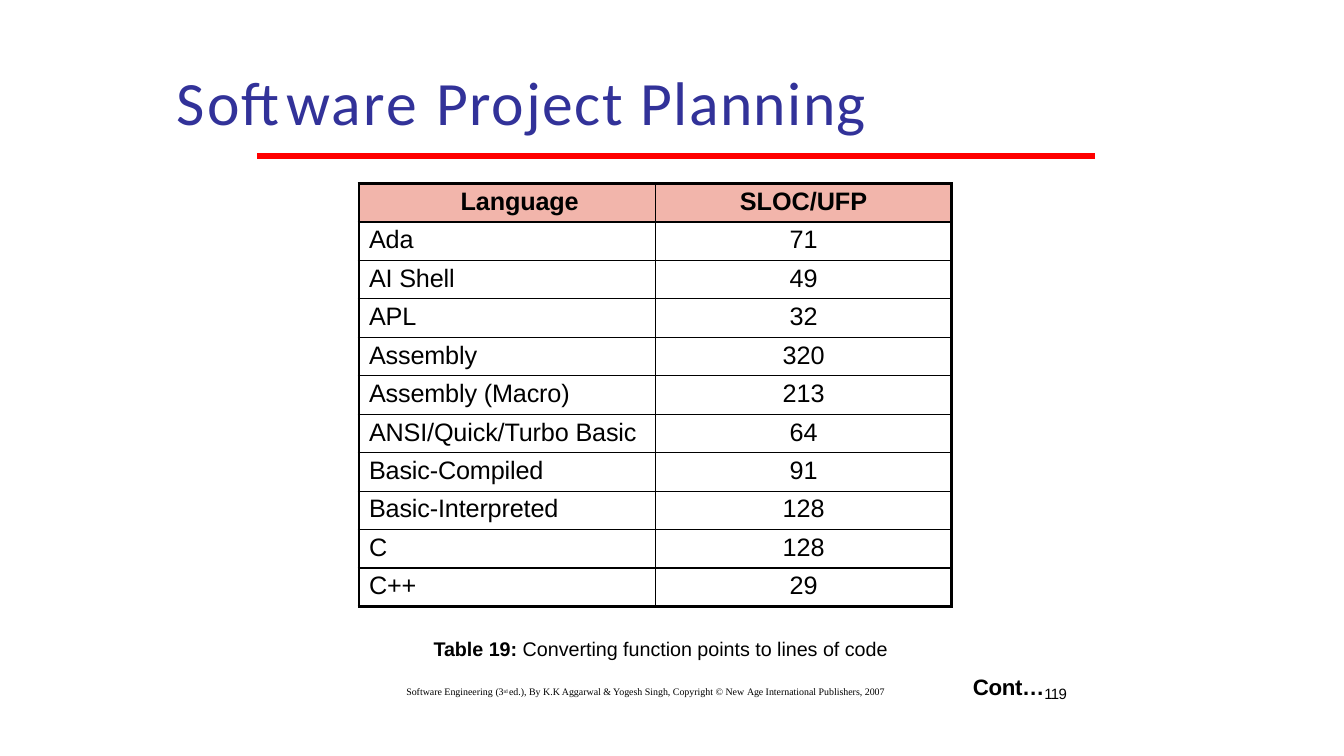
from lxml.etree import SubElement
from pptx import Presentation
from pptx.dml.color import RGBColor
from pptx.enum.shapes import MSO_CONNECTOR
from pptx.enum.text import MSO_ANCHOR, PP_ALIGN
from pptx.oxml.ns import qn
from pptx.util import Inches, Pt

BLACK, BLUE, RED, PINK = "000000", "323299", "FF0000", "F2B5AB"
HEADER = ("Language", "SLOC/UFP")
LANGUAGES = [
    ("Ada", 71), ("AI Shell", 49), ("APL", 32), ("Assembly", 320),
    ("Assembly (Macro)", 213), ("ANSI/Quick/Turbo Basic", 64),
    ("Basic-Compiled", 91), ("Basic-Interpreted", 128), ("C", 128), ("C++", 29),
]
TITLE = [
    ("Software ", {"size": 44, "spacing": 1.7}),
    ("Project ", {"size": 44, "spacing": 1.2}),
    ("Planning", {"size": 44, "spacing": 1}),
]
CAPTION = [
    ("Table 19: ", {"size": 14.1, "bold": True}),
    ("Converting function points to lines of code", {"size": 14.1}),
]
CONTINUED = [
    ("Cont…", {"size": 15.9, "bold": True, "spacing": -0.3}),
    ("119", {"size": 18.5, "spacing": -0.5, "baseline": -18}),
]
COPYRIGHT = [
    ("Software Engineering ", {"size": 7.1}),
    ("(3", {"size": 7.1, "spacing": -0.1}),
    ("rd ", {"size": 6.6, "spacing": -0.1, "baseline": 22}),
    ("ed.), By K.K Aggarwal & Yogesh Singh, Copyright © New ", {"size": 7.1}),
    ("Age ", {"size": 7.1, "spacing": -0.1}),
    ("International Publishers, 2007", {"size": 7.1}),
]
TEXTS = [
    (COPYRIGHT, (3.99, 6.79, 4.84, 0.13), 0.04, "Times New Roman", BLACK, MSO_ANCHOR.TOP),
    (CAPTION, (4.29, 6.31, 4.57, 0.25), 0.01, "Arial", BLACK, MSO_ANCHOR.TOP),
    (CONTINUED, (9.61, 6.63, 1.05, 0.28), 0.04, "Arial", BLACK, MSO_ANCHOR.TOP),
    (TITLE, (1.74, 0.62, 7.24, 0.75), 0.01, "Calibri", BLUE, MSO_ANCHOR.MIDDLE),
]
TABLE_BOX = (3.56, 1.82, 5.88, 4.2)
RULE = (2.55, 1.55, 10.86, 1.55)
OUTER, INNER = 2.25, 1


def color(value):
    return RGBColor.from_string(value)


def write_run(paragraph, words, face, ink, size, bold=False, spacing=0, baseline=0):
    run = paragraph.add_run()
    run.text = words
    run.font.name, run.font.size, run.font.bold = face, Pt(size), bold
    run.font.color.rgb = color(ink)
    properties = run.font._element
    properties.set("spc", str(round(spacing * 100)))
    if baseline:
        properties.set("baseline", str(baseline * 1000))


def indent(paragraph, left):
    properties = paragraph._p.get_or_add_pPr()
    properties.set("marL", str(Inches(left)))
    properties.set("indent", "0")


def add_borders(cell, widths):
    properties = cell._tc.get_or_add_tcPr()
    for position, (side, width) in enumerate(zip(("lnL", "lnR", "lnT", "lnB"), widths)):
        border = properties.makeelement(qn("a:" + side), {"w": str(Pt(width))})
        fill = SubElement(border, qn("a:solidFill"))
        SubElement(fill, qn("a:srgbClr"), val=BLACK)
        properties.insert(position, border)


def add_text(slide, pieces, box, left, face, ink, anchor):
    frame = slide.shapes.add_textbox(*map(Inches, box)).text_frame
    frame.word_wrap = True
    frame.vertical_anchor = anchor
    frame.margin_left = frame.margin_right = frame.margin_bottom = 0
    frame.margin_top = Inches(0.01)
    paragraph = frame.paragraphs[0]
    indent(paragraph, left)
    for words, style in pieces:
        write_run(paragraph, words, face, ink, **style)


def add_language_table(slide):
    rows = [HEADER, *LANGUAGES]
    last_row, last_column = len(rows) - 1, len(HEADER) - 1
    table = slide.shapes.add_table(len(rows), len(HEADER), *map(Inches, TABLE_BOX)).table
    for r, row in enumerate(rows):
        for c, value in enumerate(row):
            cell = table.cell(r, c)
            cell.margin_left = cell.margin_right = cell.margin_bottom = 0
            cell.margin_top = Inches(0.04)
            if r == 0:
                cell.fill.solid()
                cell.fill.fore_color.rgb = color(PINK)
            else:
                cell.fill.background()
            edges = (c == 0, c == last_column, r == 0, r == last_row)
            add_borders(cell, [OUTER if edge else INNER for edge in edges])
            paragraph = cell.text_frame.paragraphs[0]
            paragraph.space_before = Pt(3)
            if c == 0:
                indent(paragraph, 1.01 if r == 0 else 0.1)
            else:
                paragraph.alignment = PP_ALIGN.CENTER
            write_run(paragraph, str(value), "Arial", BLACK, 18, r == 0, -0.1 if c == 0 else 0)


def add_rule(slide):
    rule = slide.shapes.add_connector(MSO_CONNECTOR.STRAIGHT, *map(Inches, RULE))
    rule.line.color.rgb = color(RED)
    rule.line.width = Pt(4.5)
    SubElement(rule._element.spPr, qn("a:effectLst"))


def main():
    deck = Presentation()
    deck.slide_width, deck.slide_height = Inches(13.33), Inches(7.5)
    slide = deck.slides.add_slide(deck.slide_layouts[6])
    add_language_table(slide)
    for text in TEXTS:
        add_text(slide, *text)
    add_rule(slide)
    deck.save("out.pptx")


if __name__ == "__main__":
    main()
